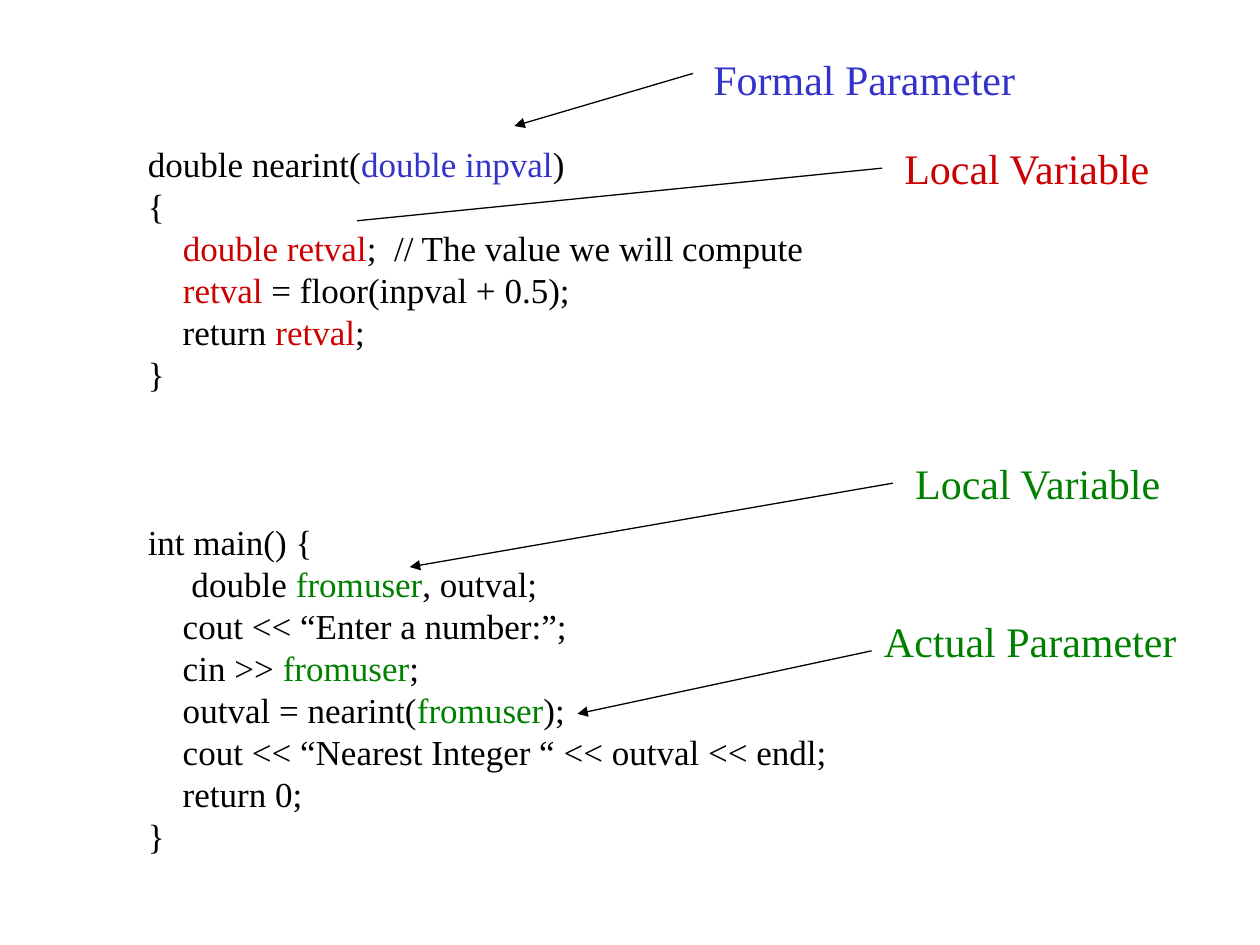
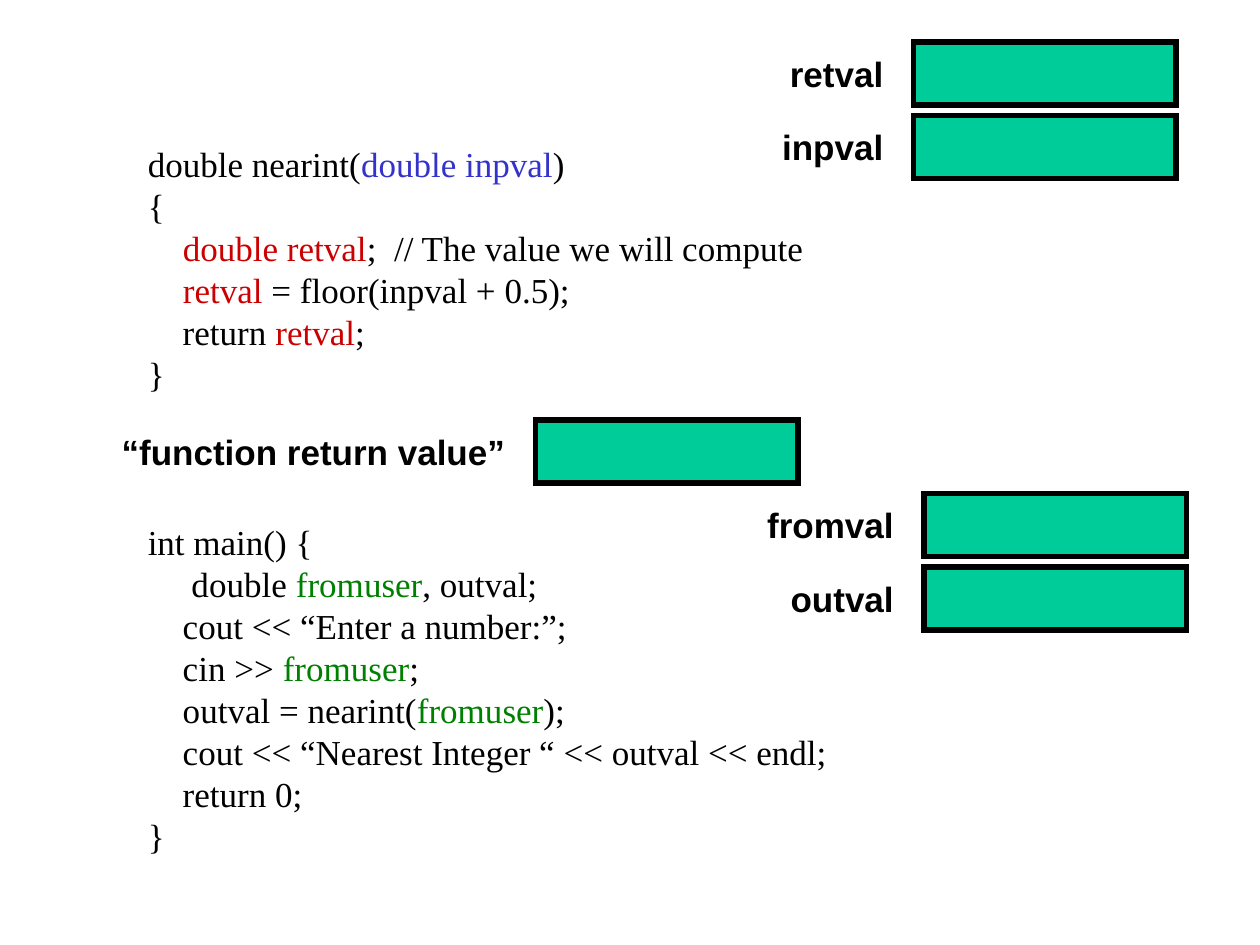
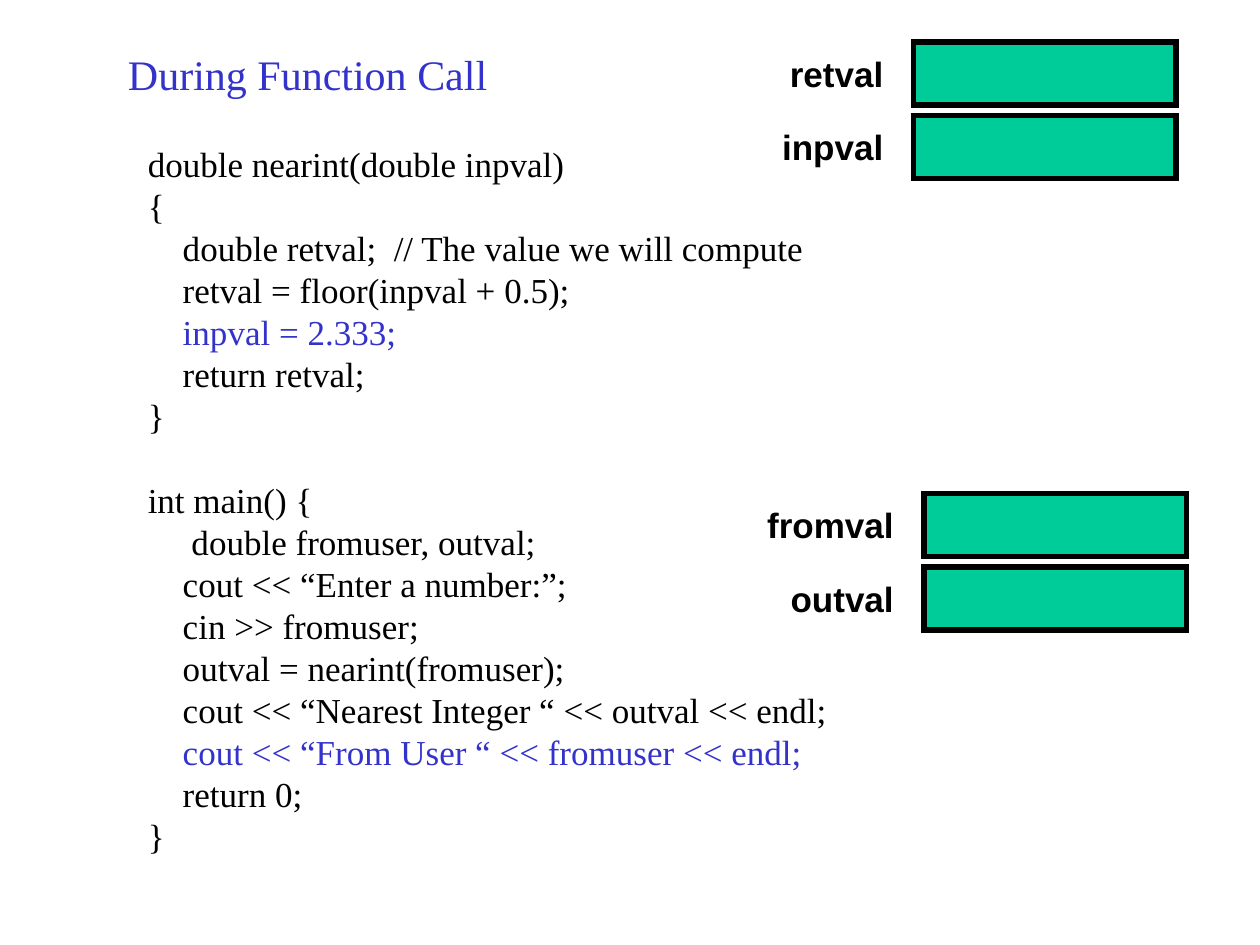
import pptx
import pptx.util
import pptx.dml.color
import pptx.enum.shapes
import pptx.enum.text
import pptx.oxml.ns
import lxml.etree

Cm = pptx.util.Cm
Pt = pptx.util.Pt

HUES = {
    "black": "000000",
    "blue": "3333CC",
    "red": "CC0000",
    "green": "008000",
    "mint": "00CC99",
}
SERIF, SANS = "Times New Roman", "Arial"
LEAD = 1.2  # line pitch per point of text size
BOX_W, BOX_H, STEP = 5.29, 1.27, 1.48

# Bars enclose the part of a line that takes the named colour.
FUNC = [
    ("double nearint(|double inpval|)", "blue"),
    ("{", "black"),
    ("    |double retval|;  // The value we will compute", "red"),
    ("    |retval| = floor(inpval + 0.5);", "red"),
    ("    return |retval|;", "red"),
    ("}", "black"),
]
MAIN = [
    ("int main() {", "black"),
    ("     double |fromuser|, outval;", "green"),
    ("    cout << “Enter a number:”;", "black"),
    ("    cin >> |fromuser|;", "green"),
    ("    outval = nearint(|fromuser|);", "green"),
    ("    cout << “Nearest Integer “ << outval << endl;", "black"),
    ("    return 0;", "black"),
    ("}", "black"),
]


def rgb(hue):
    return pptx.dml.color.RGBColor.from_string(HUES[hue])


def add_box(slide, left, top, width, height):
    frame = slide.shapes.add_textbox(Cm(left), Cm(top), Cm(width), Cm(height)).text_frame
    frame.word_wrap = False
    frame.auto_size = pptx.enum.text.MSO_AUTO_SIZE.SHAPE_TO_FIT_TEXT
    return frame


def style(para, size, face=SERIF, hue="black", bold=False):
    para.line_spacing = Pt(size * LEAD)
    font = para.font
    font.size, font.name, font.bold = Pt(size), face, bold
    font.color.rgb = rgb(hue)


def style_line(shape, width, part, kind=None):
    """Set a black line and add one element, such as a join or an arrowhead."""
    shape.line.color.rgb = rgb("black")
    shape.line.width = Pt(width)
    if part:
        tag = pptx.oxml.ns.qn
        edge = shape._element.spPr.find(tag("a:ln"))
        lxml.etree.SubElement(edge, tag(part), **(kind or {}))


def add_note(slide, text, hue, left, top, width):
    para = add_box(slide, left, top, width, 1.27).paragraphs[0]
    para.add_run().text = text
    style(para, 24, hue=hue)


def add_code(slide, func, main, gap):
    """Write both functions in one box, gap lines apart."""
    frame = add_box(slide, 2.73, 2.75, 14.25, 14.65)
    for row, (line, hue) in enumerate(func + main):
        para = frame.add_paragraph() if row else frame.paragraphs[0]
        style(para, 20)
        if row == len(func):
            para.space_before = Pt(20 * LEAD * gap)
        for part, text in enumerate(line.split("|")):
            if text:
                run = para.add_run()
                run.text = text
                if part % 2:
                    run.font.color.rgb = rgb(hue)


def add_line(slide, start, end, head=True):
    kind = pptx.enum.shapes.MSO_CONNECTOR.STRAIGHT
    link = slide.shapes.add_connector(kind, *map(Cm, start + end))
    style_line(link, 0.75, "a:tailEnd" if head else None, {"type": "triangle"})
    lxml.etree.SubElement(link._element.spPr, pptx.oxml.ns.qn("a:effectLst"))


def add_cell(slide, name, width, left, top):
    """Draw a memory cell with its name at its left."""
    kind = pptx.enum.shapes.MSO_SHAPE.RECTANGLE
    cell = slide.shapes.add_shape(kind, Cm(left), Cm(top), Cm(BOX_W), Cm(BOX_H))
    cell.shadow.inherit = False
    cell.fill.solid()
    cell.fill.fore_color.rgb = rgb("mint")
    style_line(cell, 3, "a:miter", {"lim": "800000"})
    para = add_box(slide, left - 0.36 - width, top + 0.08, width, 1.11).paragraphs[0]
    para.add_run().text = name
    para.alignment = pptx.enum.text.PP_ALIGN.RIGHT
    style(para, 20, SANS, bold=True)


def add_stack(slide, cells, left, top):
    for row, (name, width) in enumerate(cells):
        add_cell(slide, name, width, left, top + row * STEP)


def add_vars(slide):
    add_stack(slide, [("retval", 2.5), ("inpval", 2.65)], 18.42, 0.85)
    add_stack(slide, [("fromval", 3.15), ("outval", 2.7)], 18.63, 9.95)


def plain(code):
    return [(line.replace("|", ""), "black") for line, hue in code]


def main():
    deck = pptx.Presentation()
    deck.slide_width, deck.slide_height = Cm(25.4), Cm(19.05)
    terms, cells, call = [deck.slides.add_slide(deck.slide_layouts[6]) for _ in range(3)]

    add_code(terms, FUNC, MAIN, 3)
    add_note(terms, "Formal Parameter", "blue", 14.13, 0.96, 6.7)
    add_note(terms, "Local Variable", "red", 17.98, 2.75, 5.65)
    add_note(terms, "Local Variable", "green", 18.2, 9.1, 5.65)
    add_note(terms, "Actual Parameter", "green", 17.57, 12.28, 6.5)
    add_line(terms, (17.57, 13.12), (11.64, 14.39))
    add_line(terms, (18, 9.74), (8.26, 11.43))
    add_line(terms, (17.78, 3.39), (7.2, 4.45), head=False)
    add_line(terms, (13.97, 1.48), (10.37, 2.54))

    add_code(cells, FUNC, MAIN, 3)
    add_vars(cells)
    add_cell(cells, "“function return value”", 8.4, 10.8, 8.47)

    func, body = plain(FUNC), plain(MAIN)
    func.insert(-2, ("|    inpval = 2.333;|", "blue"))
    body.insert(-2, ("|    cout << “From User “ << fromuser << endl;|", "blue"))
    add_code(call, func, body, 1)
    add_vars(call)
    add_note(call, "During Function Call", "blue", 2.33, 0.85, 7.85)

    deck.save("out.pptx")


if __name__ == "__main__":
    main()
